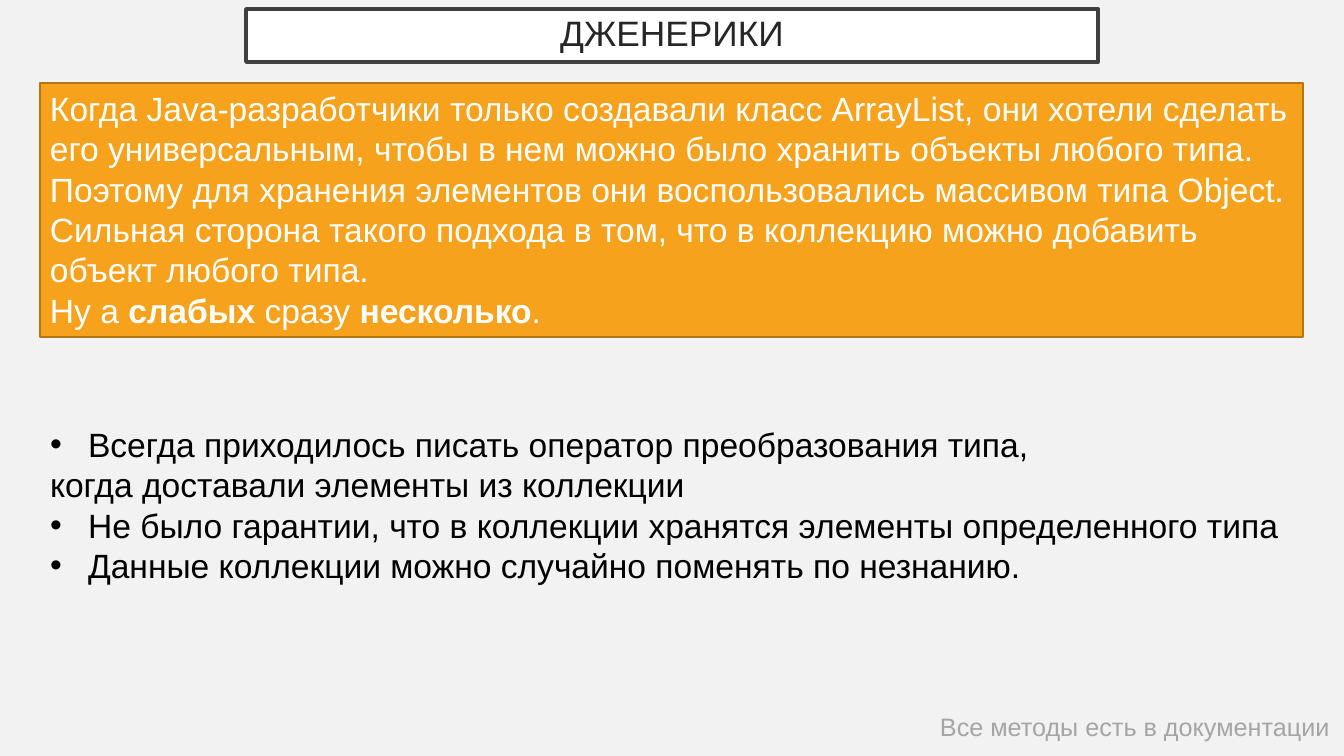
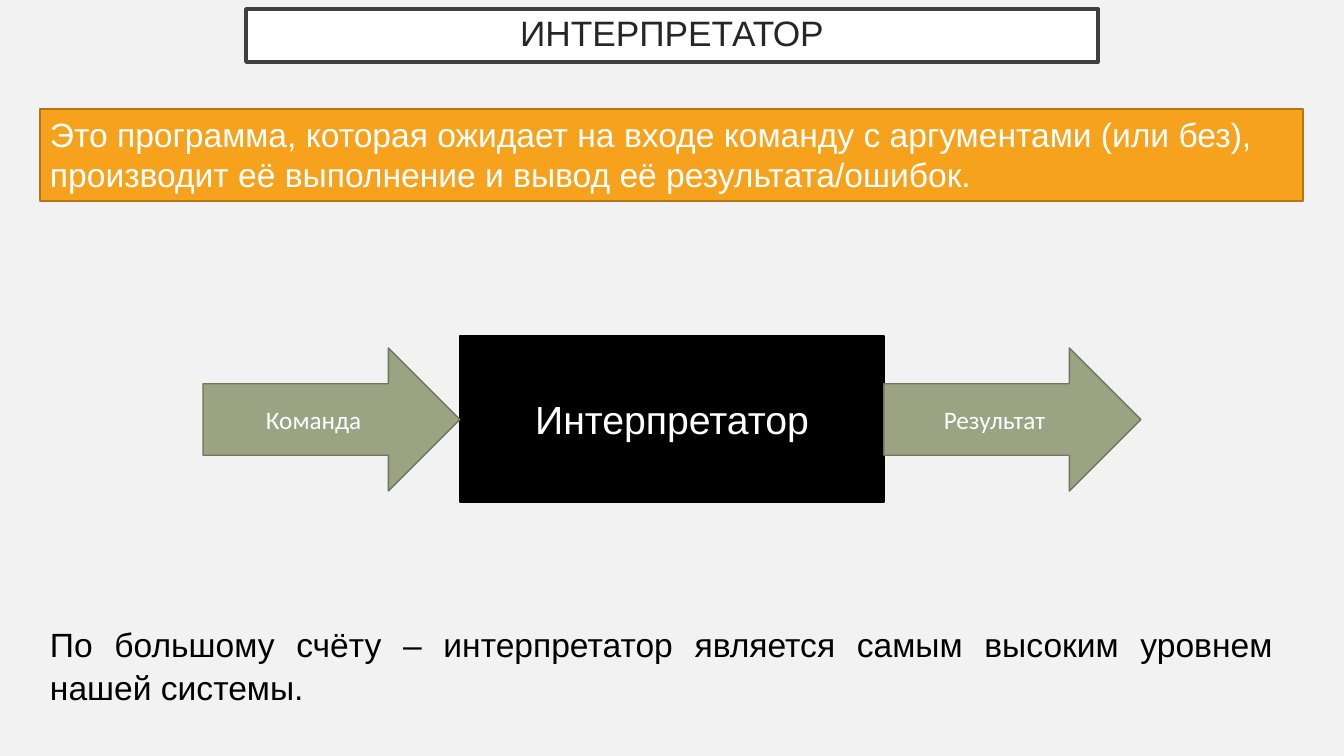
import dataclasses
import typing

import lxml.etree
import pptx
import pptx.dml.color
import pptx.enum.shapes
import pptx.enum.text
import pptx.oxml.ns
import pptx.presentation
import pptx.shapes.autoshape
import pptx.slide
import pptx.text.text
import pptx.util

RGB = pptx.dml.color.RGBColor
SHAPE = pptx.enum.shapes.MSO_SHAPE
ALIGN = pptx.enum.text.PP_ALIGN
ANCHOR = pptx.enum.text.MSO_ANCHOR

PAPER = RGB(0xF2, 0xF2, 0xF2)
WHITE = RGB(0xFF, 0xFF, 0xFF)
BLACK = RGB(0x00, 0x00, 0x00)
TITLE_INK = RGB(0x26, 0x26, 0x26)
TITLE_EDGE = RGB(0x40, 0x40, 0x40)
ORANGE = RGB(0xF6, 0xA2, 0x1D)
ORANGE_EDGE = RGB(0xB3, 0x76, 0x15)
OLIVE = RGB(0x9C, 0xA3, 0x83)
OLIVE_EDGE = RGB(0x71, 0x76, 0x5F)
FOOTNOTE_GREY = RGB(0xA5, 0xA5, 0xA5)

EMU_PER_PX = 914400 / 100.8
SLIDE_WIDTH, SLIDE_HEIGHT = 1344, 756
MARGIN = 40
BANNER_WIDTH = 1263
BULLET_INDENT = 38


class Box(typing.NamedTuple):
    left: int
    top: int
    width: int
    height: int


TITLE_BOX = Box(246, 9, 852, 53)


@dataclasses.dataclass(frozen=True)
class TextStyle:
    size: float
    color: RGB
    font: str = "Arial"
    align: ALIGN = ALIGN.LEFT
    anchor: ANCHOR = ANCHOR.TOP
    spacing: float = 1.0
    inset_x: int = 10
    inset_y: int = 5


@dataclasses.dataclass(frozen=True)
class Paragraph:
    text: str
    bullet: bool = False


@dataclasses.dataclass(frozen=True)
class Block:
    kind: SHAPE
    box: Box
    fill: RGB
    edge: RGB
    style: TextStyle
    paragraphs: tuple[Paragraph, ...]


TITLE_STYLE = TextStyle(25.2, TITLE_INK, align=ALIGN.CENTER, anchor=ANCHOR.MIDDLE,
                        spacing=0.9, inset_x=20, inset_y=20)
BANNER_STYLE = TextStyle(24, WHITE)
BODY_STYLE = TextStyle(24, BLACK)
CLOSING_STYLE = TextStyle(24, BLACK, align=ALIGN.JUSTIFY, spacing=1.07)
FOOTNOTE_STYLE = TextStyle(18, FOOTNOTE_GREY)
CORE_STYLE = TextStyle(28, WHITE, align=ALIGN.CENTER, anchor=ANCHOR.MIDDLE)
ARROW_STYLE = TextStyle(18, WHITE, "Calibri", ALIGN.CENTER, ANCHOR.MIDDLE)


def px(length: int) -> pptx.util.Emu:
    return pptx.util.Emu(round(length * EMU_PER_PX))


def apply(target: typing.Any, values: dict[str, typing.Any]) -> None:
    for name, value in values.items():
        setattr(target, name, value)


def add_bullet(paragraph: pptx.text.text._Paragraph) -> None:
    qn = pptx.oxml.ns.qn
    properties = paragraph._p.get_or_add_pPr()
    properties.set("marL", str(px(BULLET_INDENT)))
    properties.set("indent", str(-px(BULLET_INDENT)))
    bullet_color = lxml.etree.SubElement(properties, qn("a:buClr"))
    lxml.etree.SubElement(bullet_color, qn("a:srgbClr"), val=str(BLACK))
    lxml.etree.SubElement(properties, qn("a:buFont"), typeface="Arial")
    lxml.etree.SubElement(properties, qn("a:buChar"), char="•")


def write(frame: pptx.text.text.TextFrame, paragraphs: tuple[Paragraph, ...],
          style: TextStyle) -> None:
    apply(frame, {
        "word_wrap": True,
        "auto_size": pptx.enum.text.MSO_AUTO_SIZE.NONE,
        "vertical_anchor": style.anchor,
        "margin_left": px(style.inset_x),
        "margin_right": px(style.inset_x),
        "margin_top": px(style.inset_y),
        "margin_bottom": px(style.inset_y),
    })
    for index, content in enumerate(paragraphs):
        paragraph = frame.add_paragraph() if index else frame.paragraphs[0]
        apply(paragraph, {"alignment": style.align, "line_spacing": style.spacing})
        if content.bullet:
            add_bullet(paragraph)
        for part, words in enumerate(content.text.split("*")):
            run = paragraph.add_run()
            run.text = words
            apply(run.font, {"name": style.font, "size": pptx.util.Pt(style.size),
                             "bold": part % 2 == 1})
            run.font.color.rgb = style.color


def paint(shape: pptx.shapes.autoshape.Shape, fill: RGB, edge: RGB, width: float) -> None:
    shape.fill.solid()
    shape.fill.fore_color.rgb = fill
    shape.line.color.rgb = edge
    shape.line.width = pptx.util.Pt(width)


def add_block(shapes: typing.Any, block: Block) -> None:
    shape = shapes.add_shape(block.kind, *map(px, block.box))
    shape.shadow.inherit = False
    paint(shape, block.fill, block.edge, 1)
    write(shape.text_frame, block.paragraphs, block.style)


def add_banner(slide: pptx.slide.Slide, top: int, height: int, *texts: str) -> None:
    add_block(slide.shapes, Block(SHAPE.RECTANGLE, Box(MARGIN, top, BANNER_WIDTH, height),
                                  ORANGE, ORANGE_EDGE, BANNER_STYLE,
                                  tuple(map(Paragraph, texts))))


def add_text(slide: pptx.slide.Slide, box: Box, style: TextStyle,
             *paragraphs: Paragraph) -> None:
    write(slide.shapes.add_textbox(*map(px, box)).text_frame, paragraphs, style)


def add_titled_slide(deck: pptx.presentation.Presentation, heading: str) -> pptx.slide.Slide:
    slide = deck.slides.add_slide(deck.slide_layouts.get_by_name("Title Only"))
    title = slide.shapes.title
    apply(title, dict(zip(Box._fields, map(px, TITLE_BOX))))
    paint(title, WHITE, TITLE_EDGE, 2.5)
    write(title.text_frame, (Paragraph(heading),), TITLE_STYLE)
    return slide


def add_generics_slide(deck: pptx.presentation.Presentation) -> None:
    slide = add_titled_slide(deck, "ДЖЕНЕРИКИ")
    add_banner(
        slide, 83, 254,
        "Когда Java-разработчики только создавали класс ArrayList, они хотели сделать "
        "его универсальным, чтобы в нем можно было хранить объекты любого типа. "
        "Поэтому для хранения элементов они воспользовались массивом типа Object.",
        "Сильная сторона такого подхода в том, что в коллекцию можно добавить "
        "объект любого типа.",
        "Ну а *слабых* сразу *несколько*.",
    )
    add_text(
        slide, Box(MARGIN, 419, 1261, 173), BODY_STYLE,
        Paragraph("Всегда приходилось писать оператор преобразования типа,", True),
        Paragraph("когда доставали элементы из коллекции"),
        Paragraph("Не было гарантии, что в коллекции хранятся элементы определенного типа", True),
        Paragraph("Данные коллекции можно случайно поменять по незнанию.", True),
    )
    add_text(slide, Box(930, 706, 414, 40), FOOTNOTE_STYLE,
             Paragraph("Все методы есть в документации"))


def add_interpreter_slide(deck: pptx.presentation.Presentation) -> None:
    slide = add_titled_slide(deck, "ИНТЕРПРЕТАТОР")
    add_banner(
        slide, 109, 92,
        "Это программа, которая ожидает на входе команду с аргументами (или без), "
        "производит её выполнение и вывод её результата/ошибок.",
    )
    core = Box(460, 336, 424, 166)
    arrow_width, arrow_height = 257, 143
    arrow_top = core.top + (core.height - arrow_height) // 2 + 1
    flow = slide.shapes.add_group_shape().shapes
    add_block(flow, Block(SHAPE.RECTANGLE, core, BLACK, BLACK, CORE_STYLE,
                          (Paragraph("Интерпретатор"),)))
    for label, left in (("Команда", core.left - arrow_width),
                        ("Результат", core.left + core.width)):
        add_block(flow, Block(SHAPE.RIGHT_ARROW,
                              Box(left, arrow_top, arrow_width, arrow_height),
                              OLIVE, OLIVE_EDGE, ARROW_STYLE, (Paragraph(label),)))
    add_text(slide, Box(MARGIN, 616, 1243, 94), CLOSING_STYLE,
             Paragraph("По большому счёту – интерпретатор является самым высоким "
                       "уровнем нашей системы."))


def main() -> None:
    deck = pptx.Presentation()
    apply(deck, {"slide_width": px(SLIDE_WIDTH), "slide_height": px(SLIDE_HEIGHT)})
    backdrop = deck.slide_master.background.fill
    backdrop.solid()
    backdrop.fore_color.rgb = PAPER
    add_generics_slide(deck)
    add_interpreter_slide(deck)
    deck.save("out.pptx")


if __name__ == "__main__":
    main()
